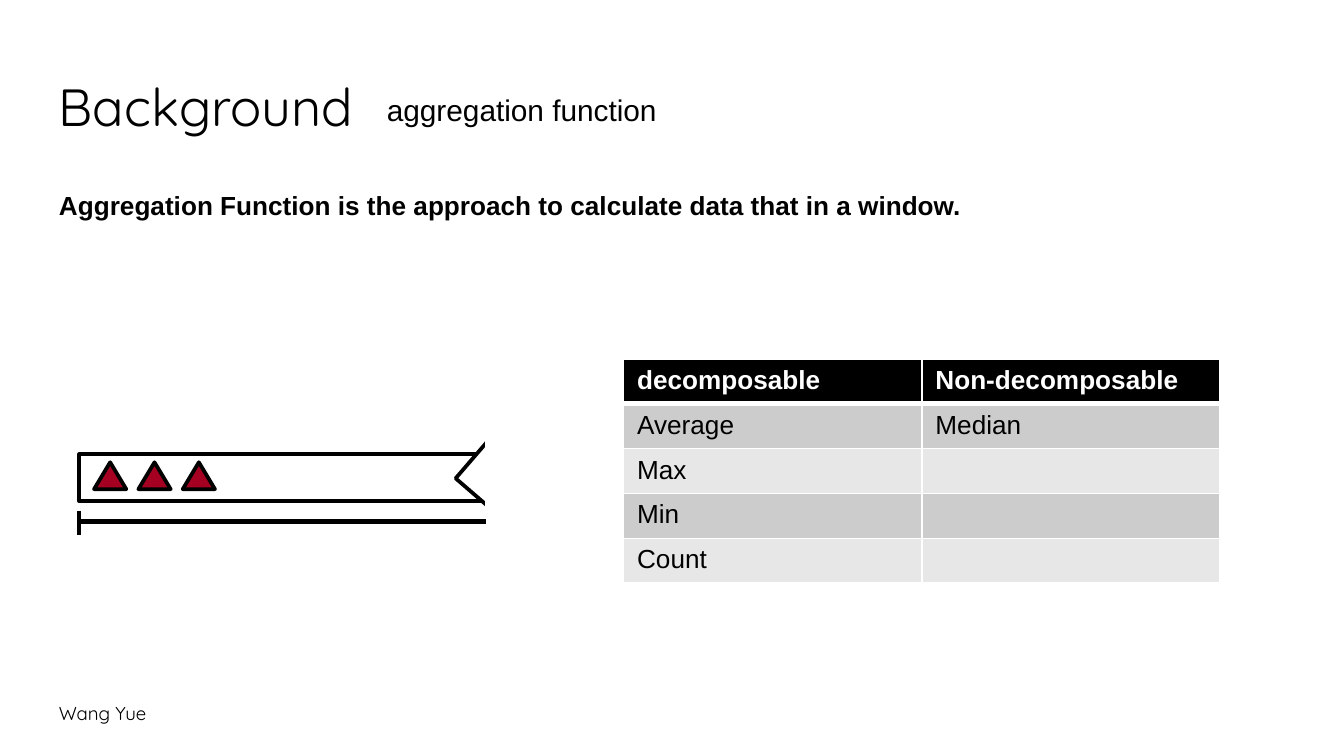
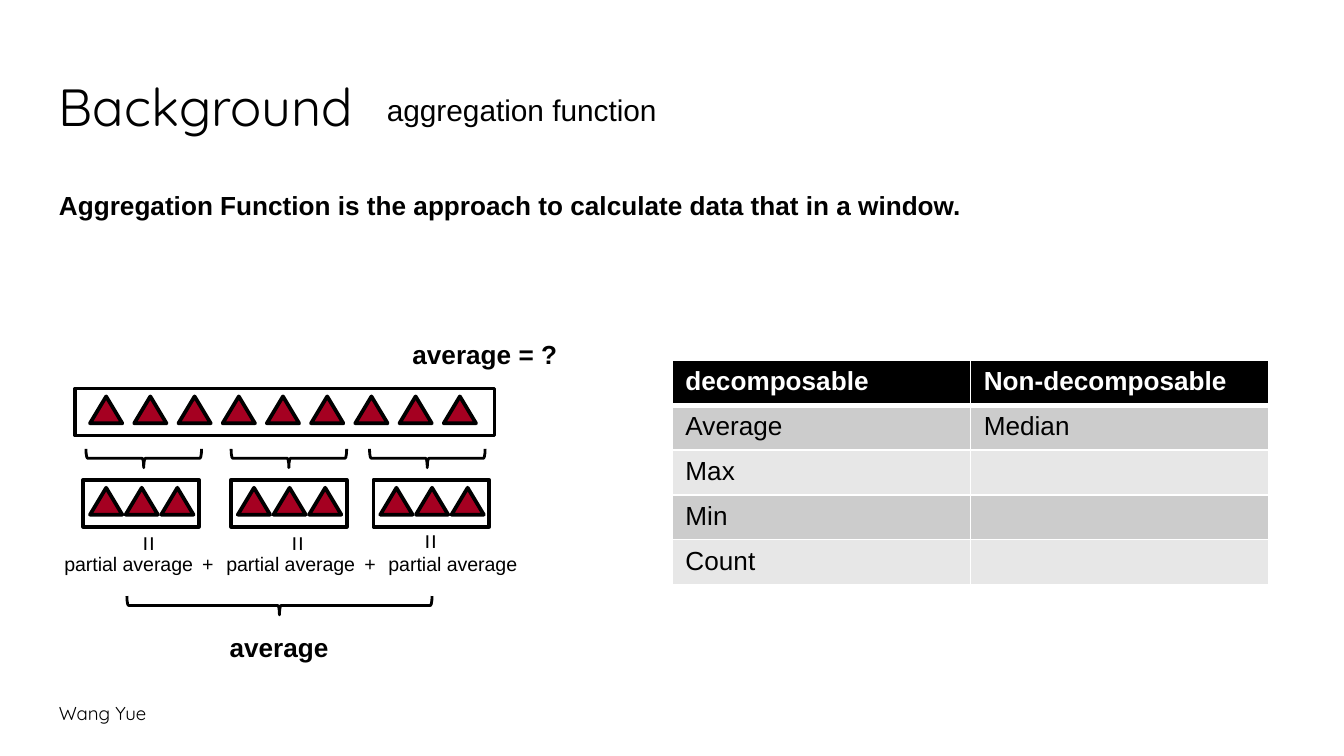
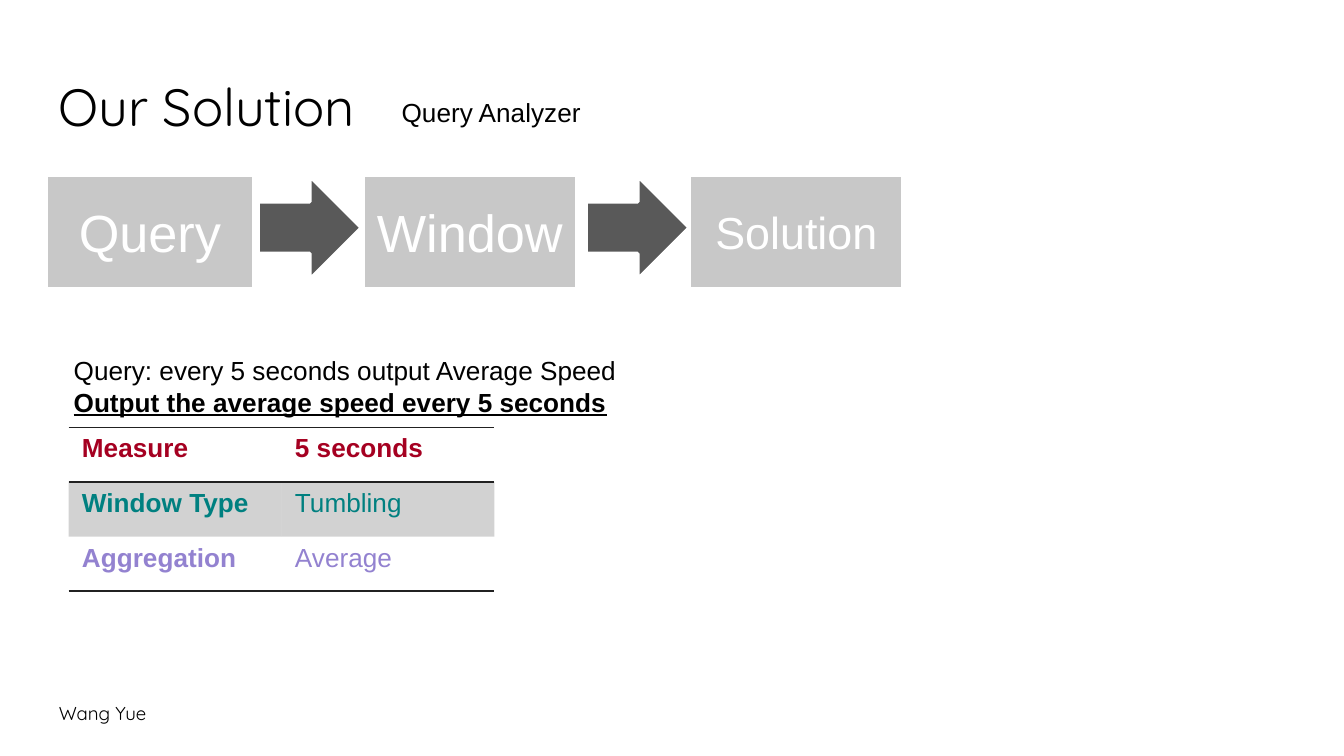
from dataclasses import dataclass

from lxml import etree
from pptx import Presentation
from pptx import util as u
from pptx.dml.color import RGBColor
from pptx.enum import shapes, text
from pptx.oxml import ns

KIND = shapes.MSO_SHAPE


@dataclass(frozen=True)
class Theme:
    """Colours, fonts and type sizes shared by all slides."""
    ink: str = "000000"
    paper: str = "FFFFFF"
    event: str = "A50021"
    step: str = "C8C8C8"
    arrow: str = "595959"
    rule: str = "212121"
    band_dark: str = "CCCCCC"
    band_light: str = "E7E7E7"
    teal: str = "008080"
    violet: str = "9382D0"
    display: str = "Quicksand"
    body: str = "Arial"
    title: float = 28
    step_small: float = 24
    subtitle: float = 16
    normal: float = 14
    small: float = 10.5
    footer: float = 10


class Board:
    """Draws styled elements on the current slide, on a grid of 100 columns."""

    def __init__(self, theme):
        self.theme = theme
        self.deck = Presentation()
        self.deck.slide_width = u.Inches(10)
        self.deck.slide_height = u.Inches(5.625)
        self.unit = self.deck.slide_width / 100
        self.page = None

    def grid(self, *lengths):
        """Turn grid lengths into slide lengths."""
        return [u.Emu(round(length * self.unit)) for length in lengths]

    def style(self, span, size, color=None, bold=False, font=None):
        """Format one run."""
        span.font.size = u.Pt(size)
        span.font.name = font or self.theme.body
        span.font.bold = bold
        span.font.color.rgb = RGBColor.from_string(color or self.theme.ink)

    def set_words(self, frame, words, size, **look):
        """Fill a text frame and format all its runs."""
        frame.text = words
        for para in frame.paragraphs:
            for span in para.runs:
                self.style(span, size, **look)

    def label(self, place, words, size=None, turn=0, grow=True, **look):
        """Add a text box."""
        box = self.page.shapes.add_textbox(*self.grid(*place))
        box.rotation = turn
        frame = box.text_frame
        frame.word_wrap = True
        self.set_words(frame, words, size or self.theme.normal, **look)
        if grow:
            frame.auto_size = text.MSO_AUTO_SIZE.SHAPE_TO_FIT_TEXT
        else:
            frame.margin_top = frame.margin_bottom = u.Inches(0.1)
        return box

    def start_page(self, title, subtitle, place, size):
        """Start a slide with its title, subtitle and footer."""
        theme = self.theme
        self.page = self.deck.slides.add_slide(self.deck.slide_layouts[6])
        self.label((3.4, 51.4, 38.8, 4.3), "Wang Yue", theme.footer,
                   grow=False, font=theme.display)
        heading = self.label((3.4, 4.9, 93.2, 6.3), title, theme.title,
                             grow=False, font=theme.display)
        heading.text_frame.vertical_anchor = text.MSO_ANCHOR.BOTTOM
        self.label(place, subtitle, size)

    def shape(self, kind, place, fill=None, line=None, width=2, turn=0):
        """Add a preset shape."""
        item = self.page.shapes.add_shape(kind, *self.grid(*place))
        item.shadow.inherit = False
        item.rotation = turn
        if fill:
            item.fill.solid()
            item.fill.fore_color.rgb = RGBColor.from_string(fill)
        else:
            item.fill.background()
        item.line.color.rgb = RGBColor.from_string(line or self.theme.ink)
        item.line.width = u.Pt(width)
        return item

    def line(self, *ends):
        """Add a straight line."""
        link = self.page.shapes.add_connector(
            shapes.MSO_CONNECTOR.STRAIGHT, *self.grid(*ends))
        link.line.color.rgb = RGBColor.from_string(self.theme.ink)
        link.line.width = u.Pt(2.25)
        etree.SubElement(link._element.spPr, ns.qn("a:effectLst"))

    def events(self, left, top, count, pitch):
        """Add a row of event triangles."""
        for index in range(count):
            self.shape(KIND.ISOSCELES_TRIANGLE,
                       (left + index * pitch, top, 2.4, 2), self.theme.event)

    def stream(self, left, top, width):
        """Add a framed strip that holds events."""
        self.shape(KIND.RECTANGLE, (left, top, width, 3.5), self.theme.paper)

    def brace(self, left, top, span):
        """Add a brace that points down."""
        self.shape(KIND.LEFT_BRACE, (left, top, 1.4, span), width=1.5, turn=270)

    def step(self, place, words, size):
        """Add a process step."""
        box = self.shape(KIND.RECTANGLE, place, self.theme.step, self.theme.paper)
        frame = box.text_frame
        self.set_words(frame, words, size, color=self.theme.paper)
        frame.vertical_anchor = text.MSO_ANCHOR.MIDDLE
        frame.paragraphs[0].alignment = text.PP_ALIGN.CENTER

    def border(self, cell, side, width, color):
        """Set one cell border; a width of zero hides it."""
        edge = etree.SubElement(cell._tc.get_or_add_tcPr(), ns.qn("a:ln" + side))
        edge.set("w", str(int(u.Pt(width))))
        if width:
            paint = etree.SubElement(edge, ns.qn("a:solidFill"))
            etree.SubElement(paint, ns.qn("a:srgbClr")).set("val", color)
        else:
            etree.SubElement(edge, ns.qn("a:noFill"))

    def table(self, place, rows, fills, looks, rules, sides, color, alpha=None):
        """Add a table; rules holds the widths of its horizontal lines."""
        item = self.page.shapes.add_table(len(rows), len(rows[0]), *self.grid(*place))
        grid = item.table
        grid.first_row = grid.horz_banding = False
        for r, words in enumerate(rows):
            for c, word in enumerate(words):
                cell = grid.cell(r, c)
                widths = (sides, sides, rules[r], rules[r + 1])
                for side, width in zip("LRTB", widths):
                    self.border(cell, side, width, color)
                if fills[r]:
                    cell.fill.solid()
                    cell.fill.fore_color.rgb = RGBColor.from_string(fills[r])
                    if alpha:
                        tint = cell._tc.tcPr.find(
                            ns.qn("a:solidFill") + "/" + ns.qn("a:srgbClr"))
                        etree.SubElement(tint, ns.qn("a:alpha")).set("val", str(alpha * 1000))
                else:
                    cell.fill.background()
                ink, bolds = looks[r]
                self.set_words(cell.text_frame, word, self.theme.normal,
                               color=ink, bold=bolds[c])
                if not word:
                    end = cell.text_frame.paragraphs[0]._p.get_or_add_endParaRPr()
                    end.set("sz", str(self.theme.normal * 100))

    def function_page(self, left, top):
        """Start an aggregation slide with its statement and function table."""
        theme = self.theme
        self.start_page("Background", "aggregation function",
                        (27.8, 6.3, 50.4, 3.7), theme.subtitle)
        self.label((3.4, 13.6, 82.5, 5.7),
                   "Aggregation Function is the approach to calculate data "
                   "that in a window.", bold=True)
        rows = [("decomposable", "Non-decomposable"), ("Average", "Median"),
                ("Max", ""), ("Min", ""), ("Count", "")]
        self.table((left, top, 44.4, 16.7), rows,
                   [theme.ink] + [theme.band_dark, theme.band_light] * 2,
                   [(theme.paper, (True, True))] + [(theme.ink, (False, False))] * 4,
                   (1, 3, 1, 1, 1, 1), 1, theme.paper)

    def partial_sum(self, place):
        """Add the sum of the partial averages, with spaced plus signs."""
        box = self.label(place, "partial average", self.theme.small)
        para = box.text_frame.paragraphs[0]
        for word in (" + ", "partial average") * 2:
            span = para.add_run()
            span.text = word
            self.style(span, self.theme.small)
            if word == " + ":
                span.font._element.set("spc", "195")


def draw_window(board):
    """Draw the open window over a stream."""
    theme = board.theme
    board.function_page(46.4, 26.7)
    board.stream(5.9, 33.8, 31.2)
    board.shape(KIND.RIGHT_TRIANGLE, (35.2, 32.1, 4.9, 5.8), theme.paper, turn=40.8)
    board.shape(KIND.RECTANGLE, (36.2, 31, 6.7, 10), theme.paper, theme.paper)
    board.events(7, 34.4, 3, 3.3)
    board.line(5.9, 38, 5.9, 39.8)
    board.line(5.9, 38.8, 36.2, 38.8)


def draw_partials(board):
    """Draw an average split into partial averages."""
    board.function_page(50, 26.8)
    board.stream(5.6, 28.9, 31.2)
    board.events(6.7, 29.5, 9, 3.29)
    parts = [(6.2, 10, 9.7, 38.7), (17.2, 20.8, 20.8, 38.7), (27.8, 31.1, 30.7, 38.5)]
    for left, brace, equals, top in parts:
        board.brace(brace, 29.8, 8.6)
        board.stream(left, 35.7, 8.6)
        board.events(left + 0.5, 36.3, 3, 2.65)
        board.label((equals, top, 2.9, 3.4), "=", turn=90)
    board.partial_sum((3.8, 40.6, 37.5, 2.8))
    board.label((29.7, 24.7, 14.6, 3.4), "average = ?", bold=True)
    board.label((16.1, 46.5, 14.6, 3.4), "average", bold=True)
    board.brace(20.1, 33.7, 22.7)


def draw_solution(board):
    """Draw the steps of the query analyzer and a parsed query."""
    theme = board.theme
    board.start_page("Our Solution", "Query Analyzer", (28.9, 6.7, 50.4, 3.4), theme.normal)
    for words, left, width, size in (("Query", 3.4, 15.5, theme.title),
                                     ("Window", 27, 15.9, theme.title),
                                     ("Solution", 51.3, 15.9, theme.step_small)):
        board.step((left, 13, width, 8.5), words, size)
    for left in (19.2, 43.6):
        board.shape(KIND.RIGHT_ARROW, (left, 13.1, 7.7, 7.7), theme.arrow, theme.paper)
    query = board.label((4.5, 25.9, 48.6, 5.7),
                        "Query: every 5 seconds output Average Speed\n"
                        "Output the average speed every 5 seconds")
    answer = query.text_frame.paragraphs[1].runs[0]
    answer.font.bold = answer.font.underline = True
    rows = [("Measure", "5 seconds"), ("Window Type", "Tumbling"),
            ("Aggregation", "Average")]
    looks = [(theme.event, (True, True)), (theme.teal, (True, False)),
             (theme.violet, (True, False))]
    board.table((5.1, 31.8, 31.7, 12.2), rows, (None, theme.rule, None), looks,
                (1, 1, 0, 1), 0, theme.rule, alpha=20)


def main():
    """Build the deck."""
    board = Board(Theme())
    for draw in (draw_window, draw_partials, draw_solution):
        draw(board)
    board.deck.save("out.pptx")


if __name__ == "__main__":
    main()
